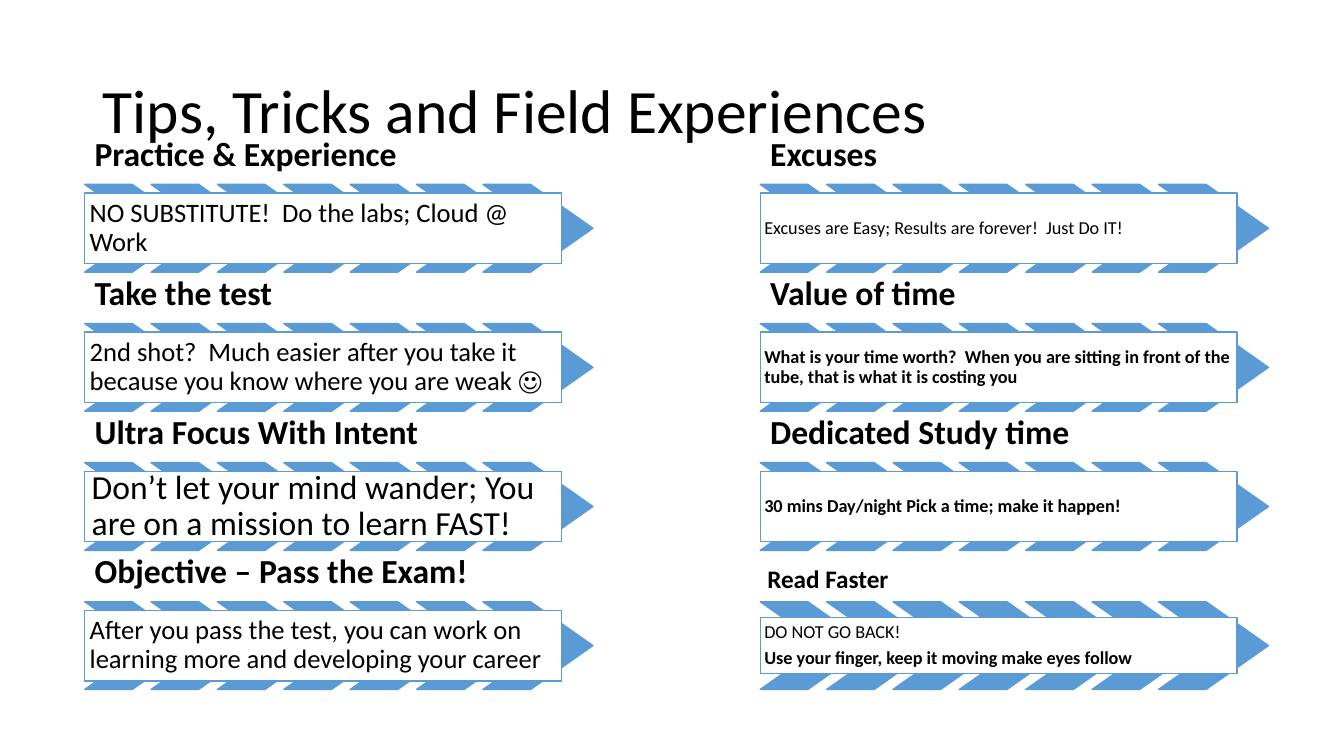
from pptx import Presentation
from pptx.dml.color import RGBColor
from pptx.enum.shapes import MSO_SHAPE as Shape
from pptx.enum.text import MSO_ANCHOR as Anchor, MSO_AUTO_SIZE as AutoSize, PP_ALIGN as Align
from pptx.util import Inches, Pt

COLORS = {"arrow": "5B9BD5", "panel": "FFFFFF", "text": "000000"}
FONT = "Calibri"
ROW_PITCH = 1.38
CHEVRONS = 7
CHEVRON_WIDTH = 1.09
TIP_WIDTH = 5.04

PRACTICE_TIPS = [
    {"heading": "Practice & Experience",
     "advice": [("NO SUBSTITUTE!  Do the labs; Cloud @ Work", False)], "size": 19},
    {"heading": "Take the test",
     "advice": [("2nd shot?  Much easier after you take it because you know where you are weak ☺", False)],
     "size": 19},
    {"heading": "Ultra Focus With Intent",
     "advice": [("Don’t let your mind wander; You are on a mission to learn FAST!", False)], "size": 24},
    {"heading": "Objective – Pass the Exam!",
     "advice": [("After you pass the test, you can work on learning more and developing your career", False)],
     "size": 19},
]
TIME_TIPS = [
    {"heading": "Excuses",
     "advice": [("Excuses are Easy; Results are forever!  Just Do IT!", False)], "size": 13},
    {"heading": "Value of time",
     "advice": [("What is your time worth?  When you are sitting in front of the tube, "
                 "that is what it is costing you", True)], "size": 13},
    {"heading": "Dedicated Study time",
     "advice": [("30 mins Day/night Pick a time; make it happen!", True)], "size": 13},
    {"heading": "Read Faster",
     "advice": [("DO NOT GO BACK!", False),
                ("Use your finger, keep it moving make eyes follow", True)],
     "size": 13, "heading_size": 18, "panel_height": 0.56},
]


def color(name):
    """Return the palette colour with the given name."""
    return RGBColor.from_string(COLORS[name])


def write(holder, lines, size, anchor=Anchor.MIDDLE, inset=None):
    """Fill a shape with (text, bold) paragraphs in the slide's type style."""
    frame = holder.text_frame
    frame.word_wrap = True
    frame.auto_size = AutoSize.NONE
    frame.vertical_anchor = anchor
    if inset is not None:
        frame.margin_left = frame.margin_right = Inches(inset)
        frame.margin_top = frame.margin_bottom = Inches(inset)
    for index, (text, bold) in enumerate(lines):
        paragraph = frame.add_paragraph() if index else frame.paragraphs[0]
        paragraph.alignment = Align.LEFT
        paragraph.line_spacing = 0.9
        paragraph.space_before = Pt(5 if index else 0)
        run = paragraph.add_run()
        run.text = text
        run.font.name, run.font.size, run.font.bold = FONT, Pt(size), bold
        run.font.color.rgb = color("text")


def add_block(slide, kind, left, top, width, height, fill):
    """Add a flat preset shape with the arrow-coloured outline."""
    block = slide.shapes.add_shape(kind, Inches(left), Inches(top), Inches(width), Inches(height))
    block.shadow.inherit = False
    block.fill.solid()
    block.fill.fore_color.rgb = color(fill)
    block.line.color.rgb = color("arrow")
    block.line.width = Pt(1)
    return block


def add_title(slide, left, top, width, height):
    """Place and write the slide title."""
    title = slide.shapes.title
    title.left, title.top = Inches(left), Inches(top)
    title.width, title.height = Inches(width), Inches(height)
    write(title, [("Tips, Tricks and Field Experiences", False)], 44)


def add_tip(slide, left, top, width, heading, advice, size, heading_size=24, panel_height=0.7):
    """Draw a heading above a chevron arrow that carries a panel of advice."""
    heading_box = slide.shapes.add_textbox(Inches(left), Inches(top), Inches(4.67), Inches(0.42))
    write(heading_box, [(heading, True)], heading_size, Anchor.BOTTOM, round(heading_size * 0.004, 2))
    arrow_top, arrow_height = top + 0.43, 0.87
    step = (width - CHEVRON_WIDTH) / (CHEVRONS - 1)
    for index in range(CHEVRONS):
        chevron = add_block(slide, Shape.CHEVRON, left + index * step, arrow_top,
                            CHEVRON_WIDTH, arrow_height, "arrow")
        chevron.adjustments[0] = 0.71
    panel_top = arrow_top + (arrow_height - panel_height) / 2
    panel = add_block(slide, Shape.RECTANGLE, left, panel_top, 4.73, panel_height, "panel")
    write(panel, advice, size, inset=round(size * 0.0028, 2))


def add_tip_column(slide, left, top, width, tips):
    """Stack tips at an equal pitch."""
    for row, tip in enumerate(tips):
        add_tip(slide, left, top + row * ROW_PITCH, width, **tip)


def main():
    """Build and save the slide."""
    deck = Presentation()
    deck.slide_width, deck.slide_height = Inches(13.33), Inches(7.5)
    slide = deck.slides.add_slide(deck.slide_layouts[5])
    add_title(slide, 0.92, 0.4, 11.5, 1.45)
    add_tip_column(slide, 0.84, 1.4, TIP_WIDTH, PRACTICE_TIPS)
    add_tip_column(slide, 7.54, 1.4, TIP_WIDTH, TIME_TIPS)
    deck.save("out.pptx")


if __name__ == "__main__":
    main()
